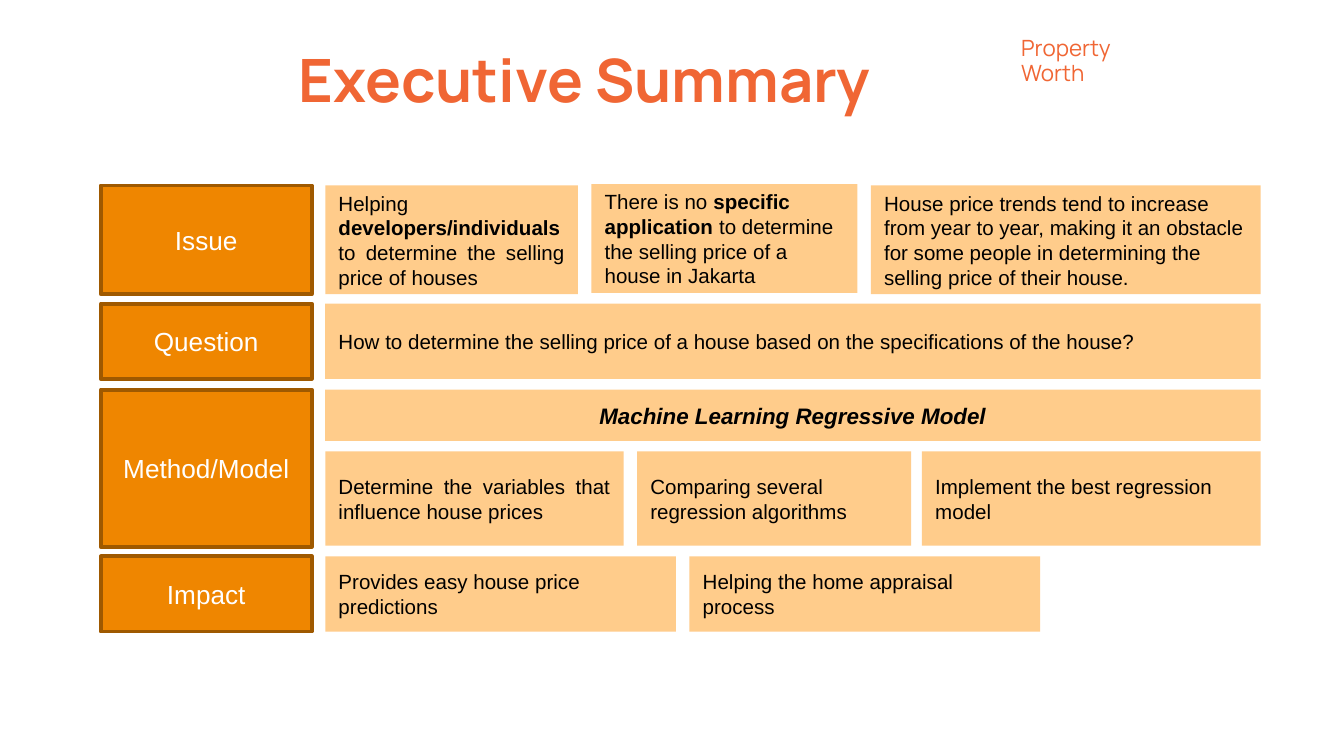
from pptx import Presentation
from pptx.dml.color import RGBColor
from pptx.enum.shapes import MSO_SHAPE
from pptx.enum.text import MSO_ANCHOR, MSO_AUTO_SIZE, PP_ALIGN
from pptx.util import Pt

PX = 9144
CORAL = RGBColor(0xF0, 0x66, 0x34)
ORANGE = RGBColor(0xEF, 0x86, 0x00)
BROWN = RGBColor(0x9F, 0x59, 0x00)
PEACH = RGBColor(0xFF, 0xCC, 0x8B)
WHITE = RGBColor(0xFF, 0xFF, 0xFF)
BLACK = RGBColor(0, 0, 0)
LEFT, MID, JUST = PP_ALIGN.LEFT, PP_ALIGN.CENTER, PP_ALIGN.JUSTIFY

deck = Presentation()
deck.slide_width = 1000 * PX
deck.slide_height = deck.slide_width * 9 // 16
slide = deck.slides.add_slide(deck.slide_layouts[5])


def head(shape, lines, size, bold):
    frame = shape.text_frame
    frame.word_wrap = True
    frame.auto_size = MSO_AUTO_SIZE.NONE
    frame.vertical_anchor = MSO_ANCHOR.TOP
    frame.margin_left = frame.margin_right = 10 * PX
    frame.margin_top = frame.margin_bottom = 10 * PX
    frame.text = "\n".join(lines)
    for para in frame.paragraphs:
        para.alignment = LEFT
        para.line_spacing = 0.9
        para.font.name = "Manrope"
        para.font.size = Pt(size)
        para.font.bold = bold
        para.font.color.rgb = CORAL


def box(x, y, w, h, text, fill, ink, size, align):
    shape = slide.shapes.add_shape(MSO_SHAPE.RECTANGLE, x * PX, y * PX, w * PX, h * PX)
    shape.shadow.inherit = False
    shape.fill.solid()
    shape.fill.fore_color.rgb = fill
    shape.line.fill.background()
    frame = shape.text_frame
    frame.word_wrap = True
    frame.vertical_anchor = MSO_ANCHOR.MIDDLE
    para = frame.paragraphs[0]
    para.alignment = align
    para.font.name = "Arial"
    para.font.size = Pt(size)
    para.font.color.rgb = ink
    for spot, part in enumerate(text.split("*")):
        run = para.add_run()
        run.text = part
        if spot % 2:
            run.font.bold = True
    return shape


title = slide.shapes.title
title.left, title.top, title.width, title.height = 212 * PX, 28 * PX, 532 * PX, 61 * PX
head(title, ["Executive Summary"], 32, True)

labels = [
    ("Issue", 138, 81),
    ("Question", 226, 56),
    ("Method/Model", 290, 117),
    ("Impact", 414, 56),
]
for name, y, h in labels:
    label = box(75, y, 157, h, name, ORANGE, WHITE, 14, MID)
    label.line.color.rgb = BROWN
    label.line.width = Pt(2)

rows = [
    (138, 81, [
        (242, 188, JUST, "Helping *developers/individuals *to determine the selling price of houses"),
    ]),
    (137, 81, [
        (440, 198, LEFT, "There is no *specific application* to determine the selling price of a house in Jakarta"),
    ]),
    (138, 81, [
        (648, 290, LEFT, "House price trends tend to increase from year to year, making it an obstacle "
                         "for some people in determining the selling price of their house."),
    ]),
    (226, 56, [
        (242, 696, LEFT, "How to determine the selling price of a house based on the specifications of the house?"),
    ]),
    (336, 70, [
        (242, 222, JUST, "Determine the variables that influence house prices"),
        (474, 204, LEFT, "Comparing several regression algorithms"),
        (686, 252, LEFT, "Implement the best regression model"),
    ]),
    (414, 56, [
        (242, 261, LEFT, "Provides easy house price predictions"),
        (513, 261, LEFT, "Helping the home appraisal process"),
    ]),
]
for y, h, cells in rows:
    for x, w, align, text in cells:
        box(x, y, w, h, text, PEACH, BLACK, 11, align)

model = box(242, 290, 696, 38, "Machine Learning Regressive Model", PEACH, BLACK, 12, MID)
font = model.text_frame.paragraphs[0].font
font.bold = font.italic = True

brand = slide.shapes.add_textbox(750 * PX, 18 * PX, 202 * PX, 41 * PX)
head(brand, ["Property", "Worth"], 12, False)

deck.save("out.pptx")
